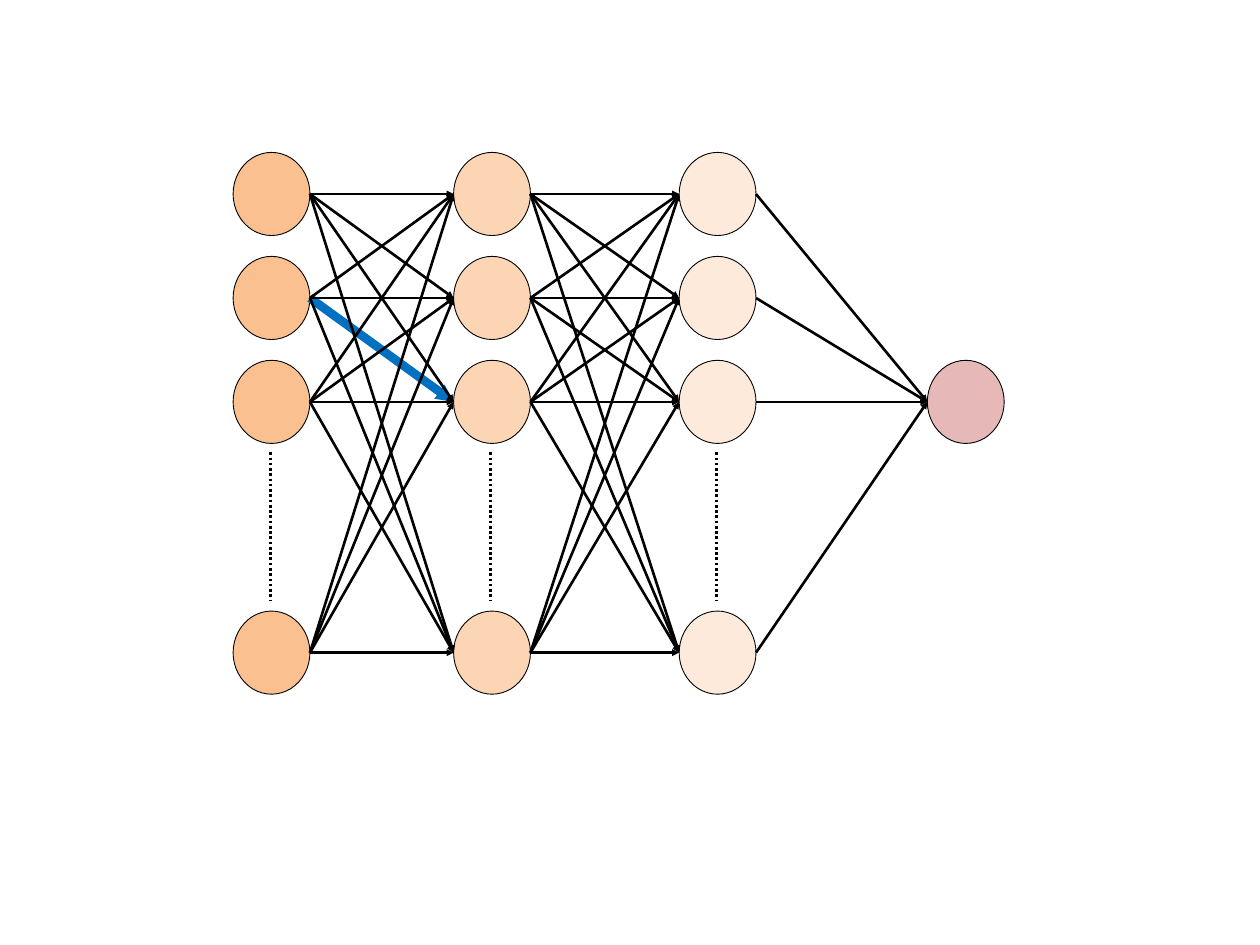
from itertools import product

from lxml.etree import SubElement
from pptx import Presentation
from pptx.dml.color import RGBColor
from pptx.enum.dml import MSO_LINE_DASH_STYLE as DASH
from pptx.enum.shapes import MSO_CONNECTOR as CONNECTOR, MSO_SHAPE as SHAPE
from pptx.oxml.ns import qn
from pptx.util import Inches, Pt

COLORS = {
    "input": "FAC090",
    "hidden": "FCD5B5",
    "deep": "FDEADA",
    "output": "E6B9B8",
    "ink": "000000",
    "highlight": "0070C0",
}
LAYERS = {"input": 1.85, "hidden": 3.6, "deep": 5.39}
OUTPUT_LEFT = 7.36
FIRST_ROW, ROW_STEP, LAST_ROW = 1.54, 0.825, 5.18
ROWS = [FIRST_ROW + ROW_STEP * row for row in range(3)] + [LAST_ROW]
OUTPUT_ROW = ROWS[2]
NODE_WIDTH, NODE_HEIGHT = 0.61, 0.66
DOTS_TOP, DOTS_BOTTOM = 3.59, 4.77


def color(name):
    return RGBColor.from_string(COLORS[name])


def add_node(page, left, middle, fill):
    node = page.shapes.add_shape(
        SHAPE.OVAL, Inches(left), Inches(middle - NODE_HEIGHT / 2),
        Inches(NODE_WIDTH), Inches(NODE_HEIGHT))
    node.shadow.inherit = False
    node.fill.solid()
    node.fill.fore_color.rgb = color(fill)
    node.line.color.rgb = color("ink")
    node.line.width = Pt(0.5)


def add_line(page, start, end, ink="ink", width=1.5):
    line = page.shapes.add_connector(
        CONNECTOR.STRAIGHT, *(Inches(value) for value in (*start, *end)))
    line.line.color.rgb = color(ink)
    line.line.width = Pt(width)
    SubElement(line._element.spPr, qn("a:effectLst"))
    return line


def add_arrow(page, start, end, **style):
    arrow = add_line(page, start, end, **style)
    SubElement(arrow.line._get_or_add_ln(), qn("a:tailEnd"),
               type="triangle", w="sm", len="sm")


def add_layer(page, name, left):
    for middle in ROWS:
        add_node(page, left, middle, name)
    center = left + NODE_WIDTH / 2 - 0.01
    dots = add_line(page, (center, DOTS_TOP), (center, DOTS_BOTTOM))
    dots.line.dash_style = DASH.ROUND_DOT


def add_links(page, left, right, targets, skipped=None):
    for start, end in product(ROWS, targets):
        if (start, end) != skipped:
            add_arrow(page, (left + NODE_WIDTH, start), (right, end))


def main():
    deck = Presentation()
    deck.slide_width, deck.slide_height = Inches(10), Inches(7.5)
    page = deck.slides.add_slide(deck.slide_layouts[6])

    add_node(page, OUTPUT_LEFT, OUTPUT_ROW, "output")
    for name, left in LAYERS.items():
        add_layer(page, name, left)

    first, second, third = LAYERS.values()
    marked = (ROWS[1], ROWS[2])
    add_arrow(page, (first + NODE_WIDTH, marked[0]), (second, marked[1]),
              ink="highlight", width=5)
    add_links(page, first, second, ROWS, skipped=marked)
    add_links(page, second, third, ROWS)
    add_links(page, third, OUTPUT_LEFT, [OUTPUT_ROW])

    deck.save("out.pptx")


main()
